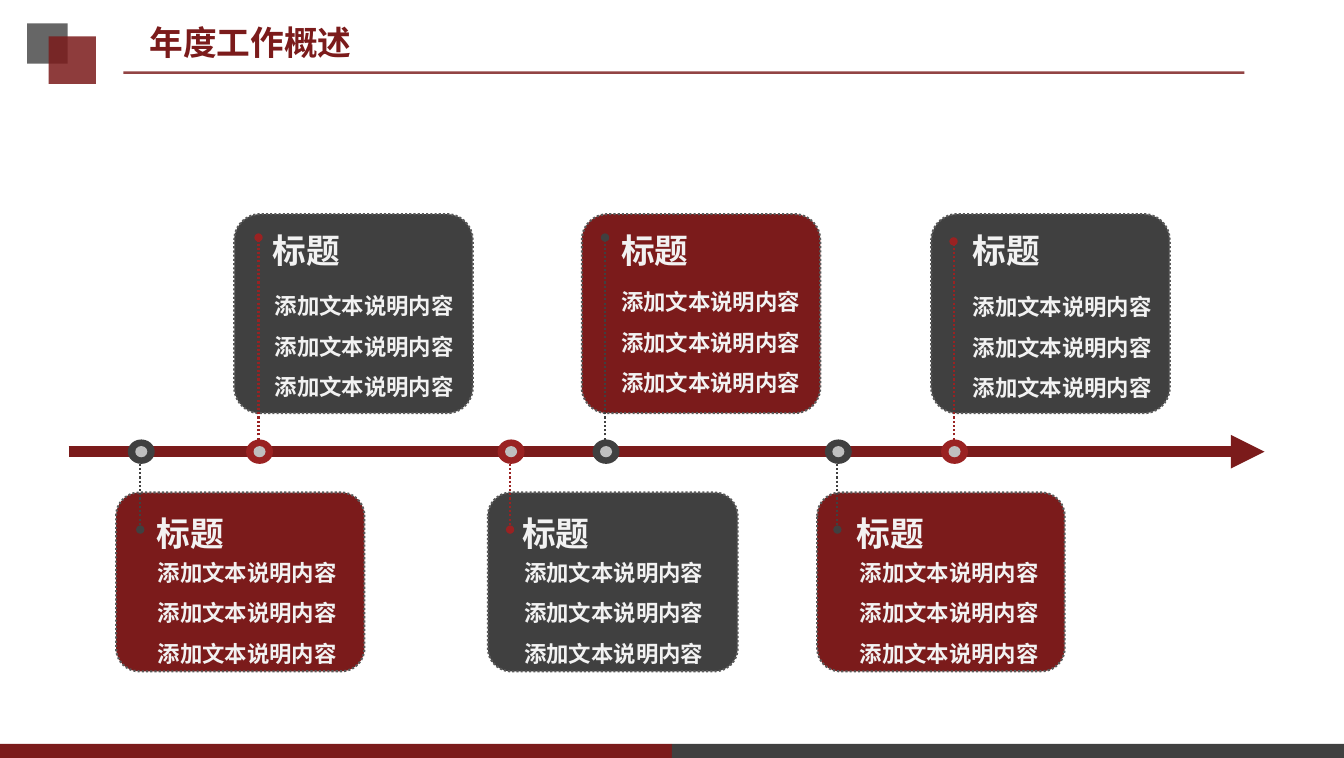
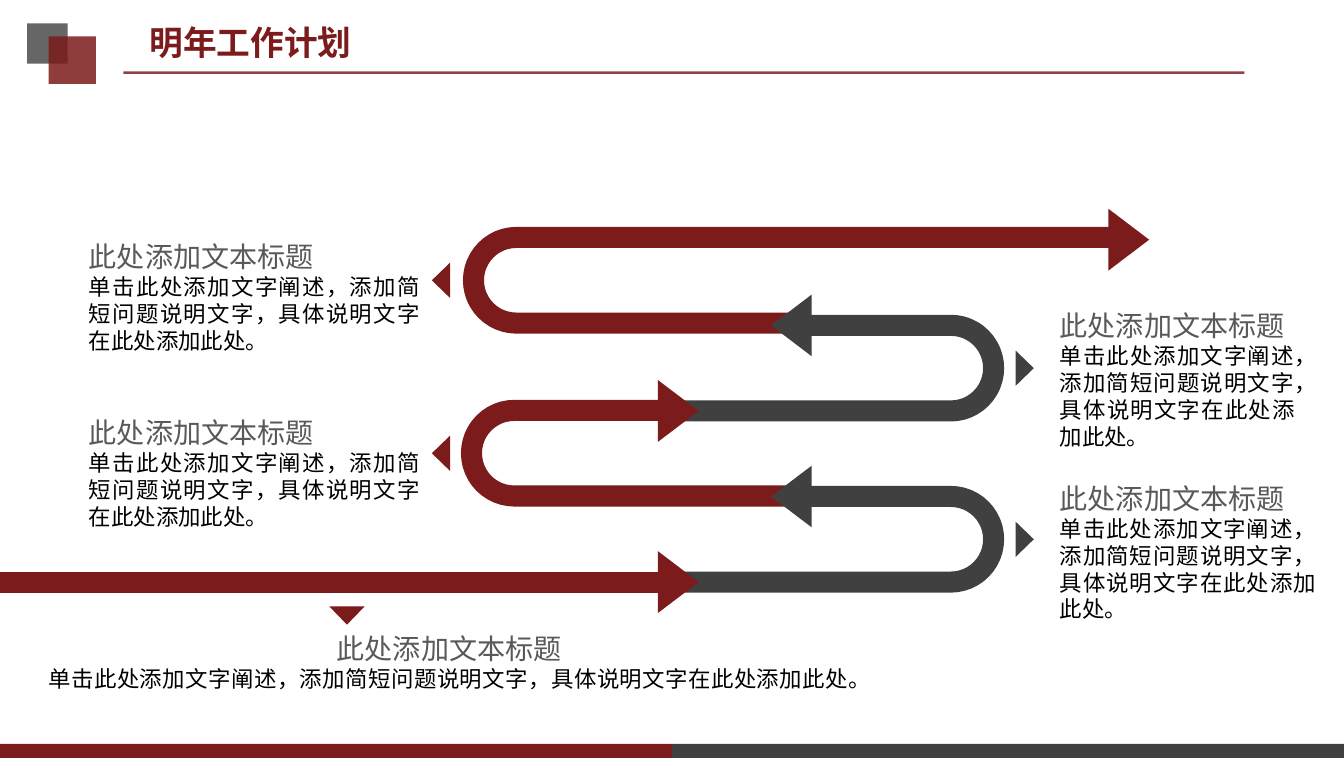
"""Build two work-report slides: a milestone timeline and a winding plan path."""
from math import cos, pi, sin

from lxml.etree import SubElement
from pptx import Presentation
from pptx.dml.color import RGBColor
from pptx.enum.dml import MSO_LINE as Dash
from pptx.enum.lang import MSO_LANGUAGE_ID as Language
from pptx.enum.shapes import MSO_CONNECTOR as Connector
from pptx.enum.shapes import MSO_SHAPE as Preset
from pptx.enum.text import MSO_ANCHOR as Anchor
from pptx.enum.text import MSO_AUTO_SIZE as AutoSize
from pptx.enum.text import PP_ALIGN as Align
from pptx.oxml.ns import qn
from pptx.util import Pt

RED = RGBColor(0x7B, 0x1B, 0x1B)
BRIGHT_RED = RGBColor(0x9A, 0x22, 0x22)
DARK = RGBColor(0x40, 0x40, 0x40)
GREY = RGBColor(0x59, 0x59, 0x59)
SILVER = RGBColor(0xBF, 0xBF, 0xBF)
PALE = RGBColor(0xF2, 0xF2, 0xF2)
BLACK = RGBColor(0, 0, 0)
FONT = "Noto Sans CJK SC"
HEADING_FONT = "Noto Sans CJK JP"
WIDTH, HEIGHT = 958, 540


def write(shape, text, size, color, font=FONT, bold=False, align=Align.LEFT,
          spacing=1.0, margins=(9.4, 5)):
    frame = shape.text_frame
    frame.word_wrap = True
    frame.auto_size = AutoSize.SHAPE_TO_FIT_TEXT
    frame.margin_left = frame.margin_right = Pt(margins[0])
    frame.margin_top = frame.margin_bottom = Pt(margins[1])
    paragraph = frame.add_paragraph() if frame.text else frame.paragraphs[0]
    paragraph.alignment = align
    paragraph.line_spacing = spacing
    run = paragraph.add_run()
    run.text = text
    run.font.size = Pt(size)
    run.font.bold = bold
    run.font.name = font
    run.font.color.rgb = color
    run.font.language_id = Language.SIMPLIFIED_CHINESE
    SubElement(run._r.rPr, qn("a:ea"), typeface=font)


def paint(shape, fill=None, line=None, width=1.5, dash=None, opacity=100, head=None, tail=None):
    if fill is not None:
        shape.fill.solid()
        shape.fill.fore_color.rgb = fill
    if line is None:
        shape.line.fill.background()
    else:
        shape.line.color.rgb = line
        shape.line.width = Pt(width)
        shape.line.dash_style = dash
    properties = shape.element.spPr
    if opacity < 100:
        for color in properties.iter(qn("a:srgbClr")):
            SubElement(color, qn("a:alpha"), val=str(opacity * 1000))
    for end, kind in (("a:headEnd", head), ("a:tailEnd", tail)):
        if kind:
            SubElement(properties.find(qn("a:ln")), qn(end), type=kind)
    SubElement(properties, qn("a:effectLst"))
    return shape


presentation = Presentation()
presentation.slide_width, presentation.slide_height = Pt(WIDTH), Pt(HEIGHT)
layout = presentation.slide_layouts[5]
layout_title, *footers = layout.placeholders
for footer in footers:
    footer.element.getparent().remove(footer.element)
layout_title.left, layout_title.top = Pt(99.4), Pt(12.2)
layout_title.width, layout_title.height = Pt(221), Pt(36)

slides = []
for title in ("年度工作概述", "明年工作计划"):
    slide = presentation.slides.add_slide(layout)
    write(slide.shapes.title, title, 24, RED, bold=True, margins=(7.2, 3.6))
    slide.shapes.title.text_frame.vertical_anchor = Anchor.TOP
    slides.append(slide)
timeline, plan = slides

decorations = []
for left, top, width, height, color, opacity in (
    (0, 530, WIDTH / 2, 10, RED, 100),
    (WIDTH / 2, 530, WIDTH / 2, 10, DARK, 100),
    (19.4, 16.6, 28.8, 28.8, DARK, 80),
    (34.6, 26, 33.8, 33.8, RED, 85),
):
    block = timeline.shapes.add_shape(Preset.RECTANGLE, Pt(left), Pt(top), Pt(width), Pt(height))
    decorations.append(paint(block, color, opacity=opacity))
rule = timeline.shapes.add_connector(Connector.STRAIGHT, Pt(88), Pt(51.8), Pt(887), Pt(51.8))
decorations.append(paint(rule, line=RED, width=1.75, opacity=81))
for decoration in decorations:
    layout.shapes.element.append(decoration.element)

AXIS = 321.8
axis = timeline.shapes.add_connector(Connector.STRAIGHT, Pt(49), Pt(AXIS), Pt(901.4), Pt(AXIS))
paint(axis, line=RED, width=8, tail="triangle")

UPPER = (152.6, 141.8, 159)
LOWER = (350.9, 127.4, 360.3)
for (top, height, title_top), left, width, fill, title_left, list_left, list_top, stalk, stalk_end in (
    (UPPER, 167, 170, DARK, 185, 186.5, 193.7, 184.3, 169.2),
    (LOWER, 82.8, 177, RED, 102.2, 103, 383.8, 100, 377.3),
    (LOWER, 347.8, 178, DARK, 362.9, 364.3, 383.8, 363.6, 377.3),
    (UPPER, 414.7, 170, RED, 433.4, 433.4, 190.8, 431.3, 169.2),
    (LOWER, 582.5, 176.4, RED, 601.2, 603.4, 383.8, 596.9, 377.3),
    (UPPER, 663.8, 170, DARK, 684, 684, 194.4, 679.7, 172),
):
    accent = BRIGHT_RED if fill == DARK else DARK
    card = timeline.shapes.add_shape(
        Preset.ROUNDED_RECTANGLE, Pt(left), Pt(top), Pt(width), Pt(height))
    card.adjustments[0] = 0.13
    paint(card, fill, GREY, dash=Dash.ROUND_DOT)
    connector = timeline.shapes.add_connector(
        Connector.STRAIGHT, Pt(stalk), Pt(AXIS), Pt(stalk), Pt(stalk_end))
    paint(connector, line=accent, dash=Dash.ROUND_DOT, head="oval", tail="oval")
    for node_width, node_height, color in ((19.2, 17.4, accent), (8.6, 8, SILVER)):
        node = timeline.shapes.add_shape(
            Preset.OVAL, Pt(stalk + 0.7 - node_width / 2), Pt(AXIS - node_height / 2),
            Pt(node_width), Pt(node_height))
        paint(node, color)
    heading = timeline.shapes.add_textbox(Pt(title_left), Pt(title_top), Pt(130), Pt(39))
    write(heading, "标题", 24, PALE, bold=True)
    details = timeline.shapes.add_textbox(Pt(list_left), Pt(list_top), Pt(150), Pt(97))
    for _ in range(3):
        write(details, "添加文本说明内容", 16, PALE, bold=True, spacing=1.5)

RADIUS = 30.5
BEND_START, BASE_END = 567, 478
BASE_Y = 414.7
triangles = []
notes = [(25.2, 445, 590, 53, Align.CENTER)]
for top, side, center_x, end_x, head_x, head_y, note in (
    (169.2, -1, 368, 798, 804.6, 170.8, (54, 165.6, 255, 92)),
    (231.8, 1, 677.8, BASE_END, 564.1, 231.8, (746, 214.6, 186.5, 112)),
    (292.4, -1, 366.6, BASE_END, 483.5, 292.8, (54, 290.9, 255, 92)),
    (353.7, 1, 677.8, BASE_END, 564.1, 353.7, (746, 337.7, 201.6, 112)),
):
    color = RED if side < 0 else DARK
    center_y = top + RADIUS
    arc = [(center_x + side * RADIUS * sin(step * pi / 24),
            center_y - side * RADIUS * cos(step * pi / 24)) for step in range(25)]
    points = [(BEND_START, arc[0][1]), *arc, (end_x, arc[-1][1])]
    points = [(Pt(x), Pt(y)) for x, y in points]
    builder = plan.shapes.build_freeform(*points[0])
    builder.add_line_segments(points[1:], close=False)
    bend = builder.convert_to_shape()
    bend.fill.background()
    paint(bend, line=color, width=15)
    triangles.append((head_x, head_y, 44, 29, -90 * side, color))
    triangles.append((522.35 + side * 208.05, center_y, 25.2, 13, 90 * side, color))
    notes.append((*note, Align.LEFT))

base = plan.shapes.add_connector(Connector.STRAIGHT, Pt(BASE_END), Pt(BASE_Y), Pt(0), Pt(BASE_Y))
paint(base, line=RED, width=15)
triangles.append((483.5, BASE_Y, 44, 29, 90, RED))
triangles.append((247.3, 438.5, 25.2, 13, 180, RED))
for center_x, center_y, width, height, rotation, color in triangles:
    triangle = plan.shapes.add_shape(
        Preset.ISOSCELES_TRIANGLE, Pt(center_x - width / 2), Pt(center_y - height / 2),
        Pt(width), Pt(height))
    triangle.rotation = rotation
    paint(triangle, color)

for left, top, width, height, align in notes:
    note = plan.shapes.add_textbox(Pt(left), Pt(top), Pt(width), Pt(height))
    write(note, "此处添加文本标题", 20, GREY, font=HEADING_FONT, align=align)
    write(note, "单击此处添加文字阐述，添加简短问题说明文字，具体说明文字在此处添加此处。",
          16, BLACK, align=Align.JUSTIFY)

presentation.save("out.pptx")
